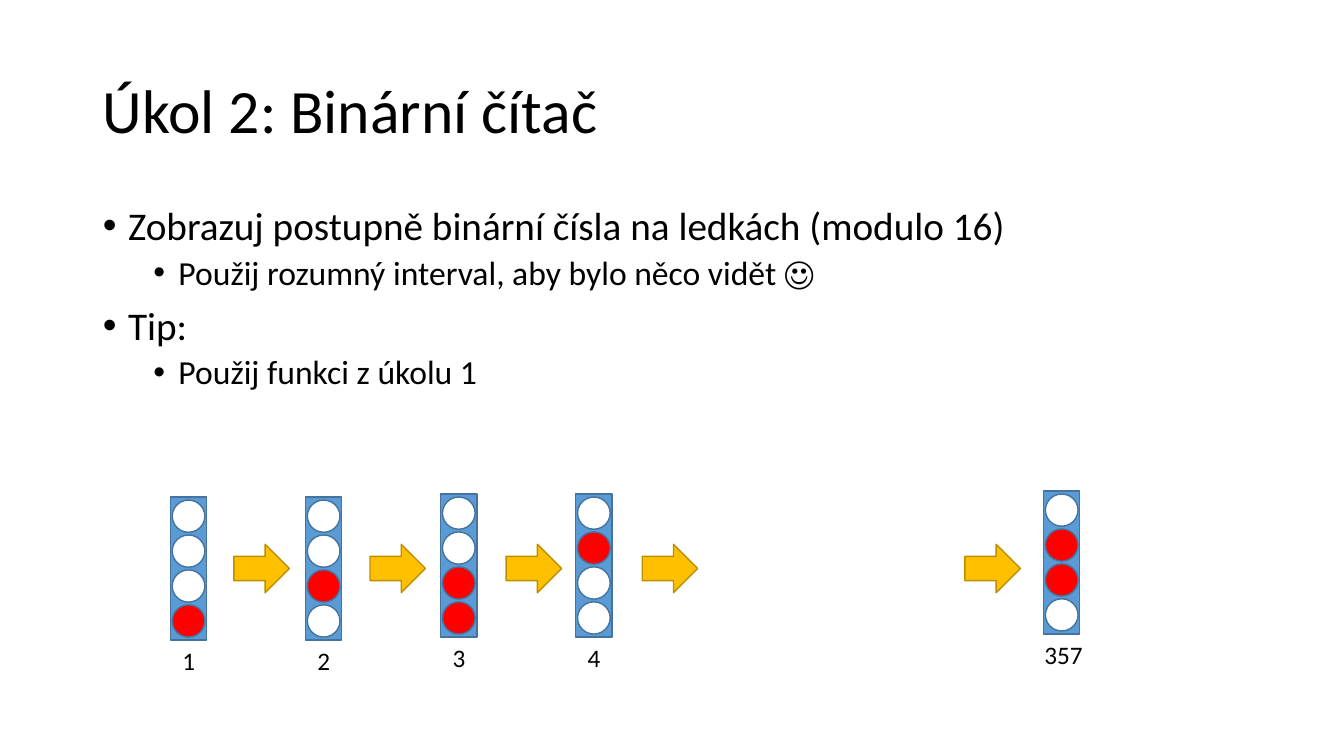
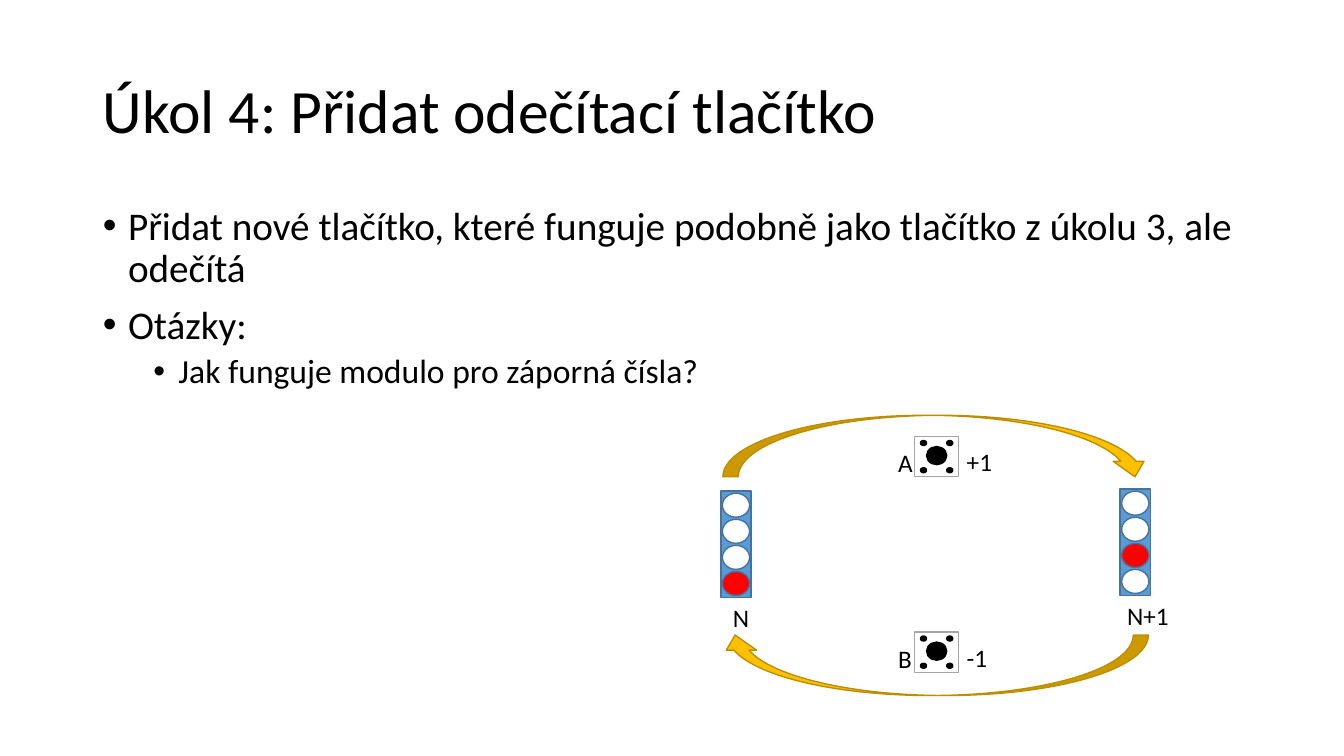
"""Two task slides about binary counting on a column of four LEDs."""
from lxml import etree
from pptx import Presentation
from pptx import util as u
from pptx.dml.color import RGBColor
from pptx.enum import shapes, text
from pptx.oxml import ns

BLACK = RGBColor(0x00, 0x00, 0x00)
WHITE = RGBColor(0xFF, 0xFF, 0xFF)
RED = RGBColor(0xFF, 0x00, 0x00)
BLUE = RGBColor(0x5B, 0x9B, 0xD5)
BLUE_EDGE = RGBColor(0x43, 0x73, 0x9E)
GOLD = RGBColor(0xFF, 0xC0, 0x00)
GOLD_EDGE = RGBColor(0xBD, 0x8E, 0x00)
GREY = RGBColor(0xA5, 0xA5, 0xA5)

FONT = "Calibri"
KIND = shapes.MSO_SHAPE
TITLE_BOX = (0.92, 0.4, 11.5, 1.45)
BODY_BOX = (0.92, 2, 11.5, 4.76)
LEVELS = [
    {"size": 28, "before": 10, "indent": 0.25},
    {"size": 24, "before": 5, "indent": 0.75},
]


def set_all(target, values):
    """Set every attribute named in a dict."""
    for name, value in values.items():
        setattr(target, name, value)


def move(shape, box):
    """Place a shape in a box of left, top, width and height in inches."""
    set_all(shape, dict(zip(("left", "top", "width", "height"), map(u.Inches, box))))


def write(para, words, size):
    """Add one run in the deck's font to a paragraph."""
    span = para.add_run()
    span.text = words
    set_all(span.font, {"name": FONT, "size": u.Pt(size)})
    span.font.color.rgb = BLACK


def add_figure(parent, kind, box, fill, edge):
    """Add a filled, outlined preset shape without shadow."""
    figure = parent.shapes.add_shape(kind, *map(u.Inches, box))
    figure.shadow.inherit = False
    figure.fill.solid()
    figure.fill.fore_color.rgb = fill
    figure.line.color.rgb = edge
    figure.line.width = u.Pt(1)
    return figure


def add_label(parent, words, left, top):
    """Add a short label whose text starts just inside the given corner."""
    label = parent.shapes.add_textbox(*map(u.Inches, (left, top, 0.76, 0.4)))
    set_all(label.text_frame, {"word_wrap": True, "margin_right": 0})
    write(label.text_frame.paragraphs[0], words, 18)


def add_item(para, words, level):
    """Format one bulleted list item."""
    style = LEVELS[level]
    set_all(para, {"level": level, "line_spacing": 0.9,
                   "space_before": u.Pt(style["before"])})
    props = para._p.get_or_add_pPr()
    props.set("marL", str(u.Inches(style["indent"])))
    props.set("indent", str(u.Inches(-0.25)))
    etree.SubElement(props, ns.qn("a:buFont"), typeface="Arial")
    etree.SubElement(props, ns.qn("a:buChar"), char="•")
    write(para, words, style["size"])


def add_page(deck, heading, items):
    """Add a slide with a title and a two-level list of (level, words)."""
    page = deck.slides.add_slide(deck.slide_layouts[1])
    title, body = page.placeholders
    for holder, box in ((title, TITLE_BOX), (body, BODY_BOX)):
        move(holder, box)
        set_all(holder.text_frame, {"auto_size": text.MSO_AUTO_SIZE.NONE,
                                    "word_wrap": True})
    title.text_frame.vertical_anchor = text.MSO_ANCHOR.MIDDLE
    para = title.text_frame.paragraphs[0]
    set_all(para, {"alignment": text.PP_ALIGN.LEFT, "line_spacing": 0.9})
    write(para, heading, 44)
    for index, (level, words) in enumerate(items):
        frame = body.text_frame
        add_item(frame.add_paragraph() if index else frame.paragraphs[0], words, level)
    return page


def add_leds(page, box, bits, words, shift):
    """Draw a column of LEDs, lit where a bit is 1, with a label below."""
    left, top, width, height = box
    column = page.shapes.add_group_shape()
    add_figure(column, KIND.RECTANGLE, box, BLUE, BLUE_EDGE)
    for index, bit in enumerate(bits):
        led = (left + 0.05 * width, top + (0.022 + 0.244 * index) * height,
               0.9 * width, 0.225 * height)
        add_figure(column, KIND.OVAL, led, RED if bit == "1" else WHITE, BLUE_EDGE)
    add_label(column, words, left + shift, top + height)


def add_button(page, left, top, name, change):
    """Draw a push button between its name and the change it makes."""
    button = page.shapes.add_group_shape()
    add_figure(button, KIND.RECTANGLE, (left, top, 0.44, 0.4), WHITE, GREY)
    add_figure(button, KIND.OVAL, (left + 0.12, top + 0.1, 0.2, 0.18), BLACK, BLACK)
    for across in (0.06, 0.32):
        for down in (0.04, 0.31):
            pin = (left + across, top + down, 0.06, 0.05)
            add_figure(button, KIND.OVAL, pin, BLACK, BLACK)
    add_label(button, name, left - 0.26, top + 0.06)
    add_label(button, change, left + 0.42, top + 0.05)


def add_counter_page(deck):
    """Build the slide that counts up step by step."""
    page = add_page(deck, "Úkol 2: Binární čítač", [
        (0, "Zobrazuj postupně binární čísla na ledkách (modulo 16)"),
        (1, "Použij rozumný interval, aby bylo něco vidět ☺"),
        (0, "Tip:"),
        (1, "Použij funkci z úkolu 1"),
    ])
    first, step = 1.69, 1.34
    steps = [("0001", 4.93), ("0010", 4.93), ("0011", 4.9), ("0100", 4.9)]
    for index, (bits, top) in enumerate(steps):
        box = (first + step * index, top, 0.36, 1.42)
        add_leds(page, box, bits, str(index + 1), 0.02)
    add_leds(page, (10.35, 4.87, 0.36, 1.42), "0110", "357", -0.09)
    for left in [2.32 + 1.35 * index for index in range(4)] + [9.57]:
        add_figure(page, KIND.RIGHT_ARROW, (left, 5.4, 0.55, 0.48), GOLD, GOLD_EDGE)


def add_buttons_page(deck):
    """Build the slide with one button up and one button down."""
    page = add_page(deck, "Úkol 4: Přidat odečítací tlačítko", [
        (0, "Přidat nové tlačítko, které funguje podobně jako tlačítko z úkolu 3, "
            "ale odečítá"),
        (0, "Otázky:"),
        (1, "Jak funguje modulo pro záporná čísla?"),
    ])
    add_leds(page, (11.11, 4.85, 0.3, 1.06), "0010", "N+1", -0.03)
    add_leds(page, (7.15, 4.87, 0.3, 1.06), "0001", "N", 0.02)
    rows = [("A", "+1", 4.33, (7.17, 4.12, 4.24, 0.61), 0),
            ("B", "-1", 6.27, (7.14, 6.3, 4.25, 0.6), 180)]
    for name, change, top, arc, turn in rows:
        add_button(page, 9.07, top, name, change)
        arrow = add_figure(page, KIND.CURVED_DOWN_ARROW, arc, GOLD, GOLD_EDGE)
        arrow.rotation = turn


def main():
    """Build and save the deck."""
    deck = Presentation()
    set_all(deck, {"slide_width": u.Inches(13.33), "slide_height": u.Inches(7.5)})
    add_counter_page(deck)
    add_buttons_page(deck)
    deck.save("out.pptx")


main()
